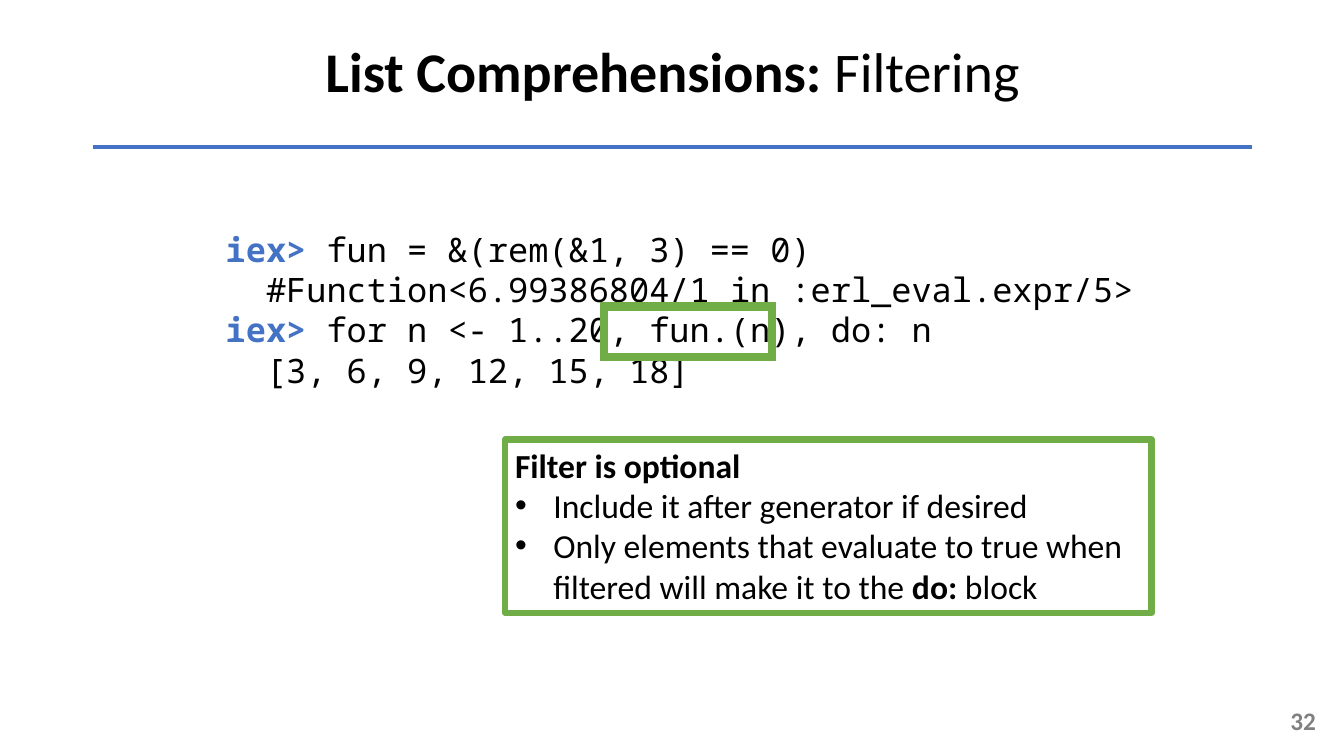
from dataclasses import dataclass
from lxml.etree import SubElement
from pptx import Presentation
from pptx.dml.color import RGBColor
from pptx.enum.shapes import MSO_CONNECTOR, MSO_SHAPE
from pptx.enum.text import MSO_ANCHOR, PP_ALIGN
from pptx.oxml.ns import qn
from pptx.util import Pt

PX = 9144
HUES = {"black": "000000", "blue": "4472C4", "green": "70AD47", "gray": "808080"}
SANS = "Calibri"
MONO = "Noto Sans Mono"


@dataclass(frozen=True)
class Box:
    left: int
    top: int
    width: int
    height: int

    def emu(self) -> tuple[int, ...]:
        return tuple(n * PX for n in (self.left, self.top, self.width, self.height))


@dataclass(frozen=True)
class Span:
    text: str
    bold: bool = False
    hue: str = "black"


@dataclass(frozen=True)
class Line:
    spans: tuple[Span, ...]
    indent: int = 0
    bullet: bool = False


@dataclass(frozen=True)
class Block:
    box: Box
    lines: tuple[Line, ...]
    size: int
    font: str = SANS
    align: PP_ALIGN = PP_ALIGN.LEFT
    anchor: MSO_ANCHOR = MSO_ANCHOR.TOP
    space: float = 1.0


@dataclass(frozen=True)
class Frame:
    box: Box
    weight: float
    join: str


PROMPT = Span("iex> ", True, "blue")

BLOCKS = (
    Block(Box(1015, 695, 300, 40), (Line((Span("32", True, "gray"),)),), 18,
          align=PP_ALIGN.RIGHT, anchor=MSO_ANCHOR.MIDDLE),
    Block(Box(92, 1, 1150, 145),
          (Line((Span("List Comprehensions: ", True), Span("Filtering"))),), 40,
          align=PP_ALIGN.CENTER, anchor=MSO_ANCHOR.MIDDLE, space=0.9),
    Block(Box(214, 222, 928, 172), (
        Line((PROMPT, Span("fun = &(rem(&1, 3) == 0)"))),
        Line((Span("#Function<6.99386804/1 in :erl_eval.expr/5>"),), 40),
        Line((PROMPT, Span("for n <- 1..20, fun.(n), do: n"))),
        Line((Span("[3, 6, 9, 12, 15, 18]"),), 40),
    ), 24, MONO),
)
MARK = Frame(Box(599, 304, 167, 50), 6, "miter")
PANEL = Frame(Box(501, 436, 641, 172), 4.5, "round")
NOTE = Block(PANEL.box, (
    Line((Span("Filter is optional", True),)),
    Line((Span("Include it after generator if desired"),), 38, True),
    Line((Span("Only elements that evaluate to true when filtered will make it to the "),
          Span("do:", True), Span(" block")), 38, True),
), 24)


def tint(name: str) -> RGBColor:
    return RGBColor.from_string(HUES[name])


def fill_text(shape, block: Block) -> None:
    frame = shape.text_frame
    frame.word_wrap = True
    frame.vertical_anchor = block.anchor
    for i, line in enumerate(block.lines):
        para = frame.paragraphs[0] if i == 0 else frame.add_paragraph()
        para.alignment = block.align
        para.line_spacing = block.space
        props = para._p.get_or_add_pPr()
        if line.indent:
            props.set("marL", str(line.indent * PX))
        if line.bullet:
            props.set("indent", str(-line.indent * PX))
            SubElement(props, qn("a:buFont"), typeface="Arial")
            SubElement(props, qn("a:buChar"), char="•")
        for span in line.spans:
            run = para.add_run()
            run.text = span.text
            run.font.name = block.font
            run.font.size = Pt(block.size)
            run.font.bold = span.bold
            run.font.color.rgb = tint(span.hue)


def draw_block(slide, block: Block) -> None:
    fill_text(slide.shapes.add_textbox(*block.box.emu()), block)


def draw_frame(slide, frame: Frame):
    shape = slide.shapes.add_shape(MSO_SHAPE.RECTANGLE, *frame.box.emu())
    shape.shadow.inherit = False
    shape.fill.background()
    shape.line.color.rgb = tint("green")
    shape.line.width = Pt(frame.weight)
    SubElement(shape.line._get_or_add_ln(), qn(f"a:{frame.join}"))
    return shape


def draw_rule(slide, left: int, right: int, top: int) -> None:
    rule = slide.shapes.add_connector(
        MSO_CONNECTOR.STRAIGHT, left * PX, top * PX, right * PX, top * PX)
    rule.line.color.rgb = tint("blue")
    rule.line.width = Pt(3)
    SubElement(rule._element.spPr, qn("a:effectLst"))


def main() -> None:
    deck = Presentation()
    deck.slide_width = 1333 * PX
    deck.slide_height = 750 * PX
    slide = deck.slides.add_slide(deck.slide_layouts[6])
    for block in BLOCKS:
        draw_block(slide, block)
    draw_rule(slide, 92, 1242, 146)
    draw_frame(slide, MARK)
    fill_text(draw_frame(slide, PANEL), NOTE)
    deck.save("out.pptx")


if __name__ == "__main__":
    main()
